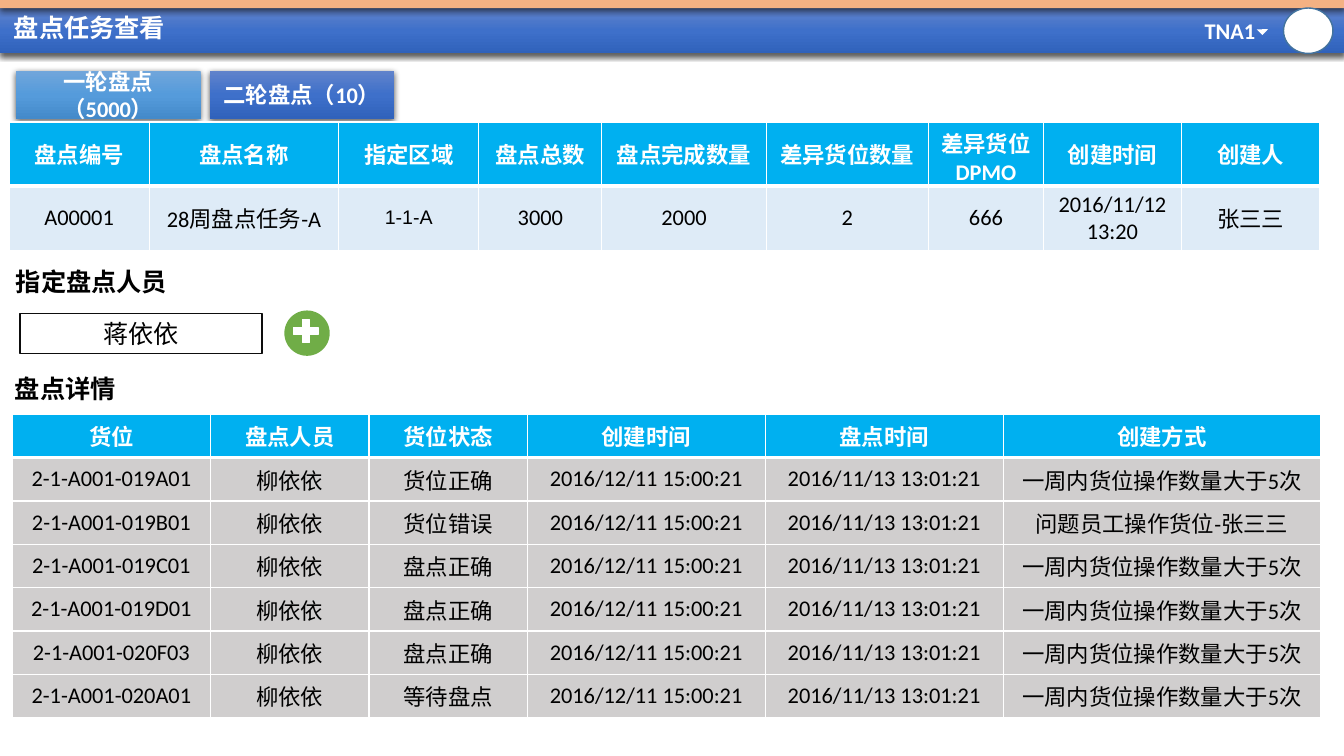
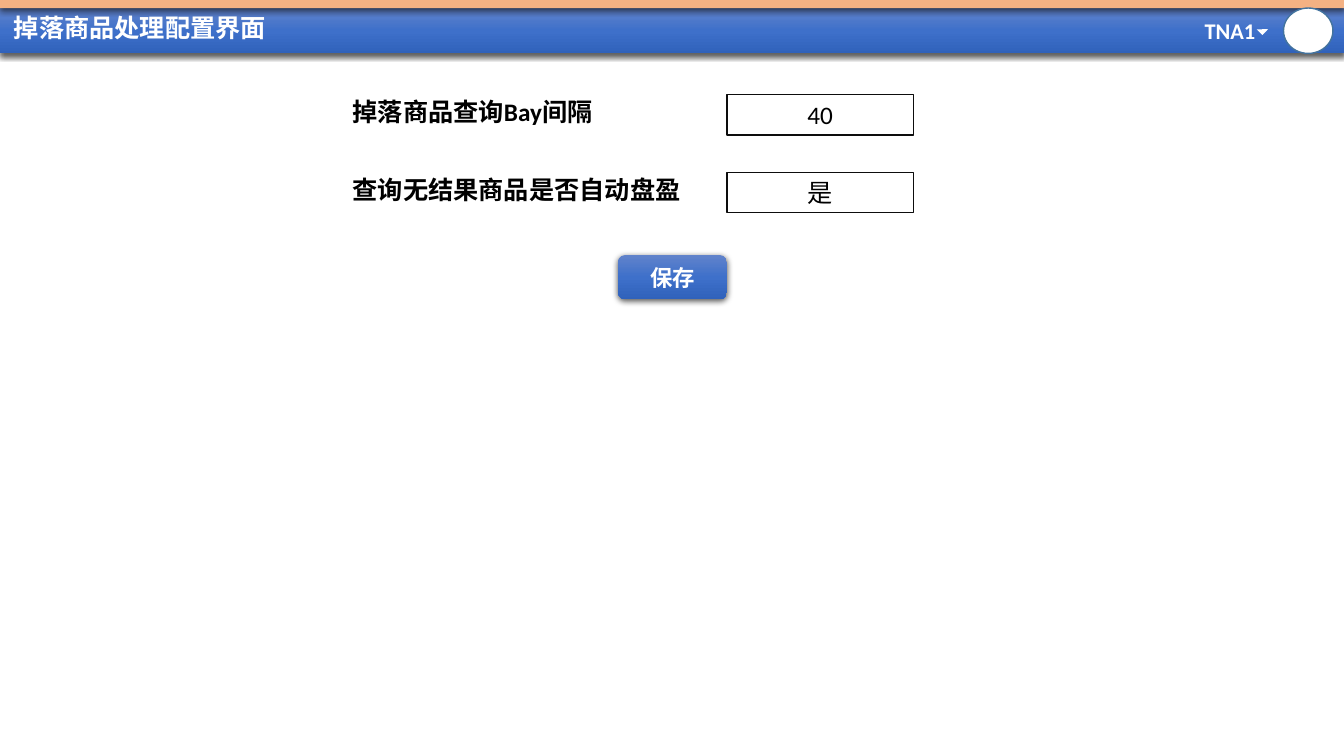
from lxml import etree
from pptx import Presentation
from pptx.dml.color import RGBColor
from pptx.enum.shapes import MSO_SHAPE as SHAPE
from pptx.enum.text import MSO_ANCHOR as ANCHOR, PP_ALIGN as ALIGN
from pptx.oxml import parse_xml
from pptx.oxml.ns import nsdecls, qn
from pptx.util import Inches, Pt

# Shared style
FONT = "Calibri"
WHITE, BLACK = "FFFFFF", "000000"
DARK_LINE, AVATAR_LINE = "0D0D0D", "43739E"
STRIP, GREEN = "F4B183", "70AD47"
HEAD_FILL, TASK_FILL, DETAIL_FILL = "00B0F0", "DEEBF7", "D0CECE"
BLUE_GRADIENT = ("6183CB", "3E70CA", "3062BB")
LIGHT_GRADIENT = ("71A6DB", "559BDB", "448ACA")


def rgb(value):
    return RGBColor.from_string(value)


def box(left, top, width, height):
    return [Inches(v) for v in (left, top, width, height)]


def style_text(tf, text, size, color, bold=False, align=ALIGN.LEFT, font=FONT):
    p = tf.paragraphs[0]
    p.text = text
    p.alignment = align
    p.font.name, p.font.size, p.font.bold = font, Pt(size), bold
    p.font.color.rgb = rgb(color)
    return p


def set_gradient(sp, colors):
    """Vertical gradient with evenly spaced stops."""
    step = 100000 // (len(colors) - 1)
    stops = "".join(
        f'<a:gs pos="{i * step}"><a:srgbClr val="{c}"/></a:gs>'
        for i, c in enumerate(colors))
    sp.fill.gradient()
    sp_pr = sp._element.spPr
    sp_pr.replace(sp_pr.find(qn("a:gradFill")), parse_xml(
        f'<a:gradFill {nsdecls("a")} rotWithShape="1"><a:gsLst>{stops}</a:gsLst>'
        '<a:lin ang="5400000" scaled="0"/></a:gradFill>'))


def add_shadow(sp):
    effects = sp._element.spPr.find(qn("a:effectLst"))
    effects.append(parse_xml(
        f'<a:outerShdw {nsdecls("a")} blurRad="57150" dist="19050" dir="5400000" '
        'algn="ctr" rotWithShape="0"><a:srgbClr val="000000">'
        '<a:alpha val="63000"/></a:srgbClr></a:outerShdw>'))


def add_shape(shapes, kind, at, fill, line=None, shadow=False):
    sp = shapes.add_shape(kind, *box(*at))
    sp.shadow.inherit = False
    if isinstance(fill, tuple):
        set_gradient(sp, fill)
    else:
        sp.fill.solid()
        sp.fill.fore_color.rgb = rgb(fill)
    if line:
        sp.line.color.rgb = rgb(line)
        sp.line.width = Pt(1)
    else:
        sp.line.fill.background()
    if shadow:
        add_shadow(sp)
    return sp


def add_label(slide, at, text, size=18, color=BLACK, wrap=True):
    tf = slide.shapes.add_textbox(*box(*at)).text_frame
    tf.word_wrap = wrap
    style_text(tf, text, size, color, bold=True)
    return tf


def add_button(slide, at, text, fill=BLUE_GRADIENT, kind=SHAPE.RECTANGLE):
    sp = add_shape(slide.shapes, kind, at, fill, shadow=True)
    style_text(sp.text_frame, text, 16, WHITE, True, ALIGN.CENTER)


def add_field(slide, at, text):
    sp = add_shape(slide.shapes, SHAPE.RECTANGLE, at, WHITE, DARK_LINE)
    style_text(sp.text_frame, text, 18, BLACK, align=ALIGN.CENTER)


def set_borders(cell, top, bottom):
    tc_pr = cell._tc.get_or_add_tcPr()
    for i, (side, width) in enumerate(
            (("L", 1), ("R", 1), ("T", top), ("B", bottom))):
        ln = etree.Element(qn(f"a:ln{side}"), w=str(Pt(width)))
        fill = etree.SubElement(ln, qn("a:solidFill"))
        etree.SubElement(fill, qn("a:srgbClr"), val=WHITE)
        tc_pr.insert(i, ln)


def add_table(slide, left, top, widths, heights, rows, body_fill):
    at = box(left, top, sum(widths), sum(heights))
    table = slide.shapes.add_table(len(rows), len(widths), *at).table
    for column, width in zip(table.columns, widths):
        column.width = Inches(width)
    for r, (row, height) in enumerate(zip(rows, heights)):
        table.rows[r].height = Inches(height)
        head = r == 0
        for c, text in enumerate(row):
            cell = table.cell(r, c)
            cell.vertical_anchor = ANCHOR.MIDDLE
            cell.fill.solid()
            cell.fill.fore_color.rgb = rgb(HEAD_FILL if head else body_fill)
            set_borders(cell, 3 if r == 1 else 1, 3 if head else 1)
            style_text(cell.text_frame, text, 16, WHITE if head else BLACK,
                       head, ALIGN.CENTER)
    return table


def add_page(prs, title):
    """New slide with the top bands, site menu, avatar and title."""
    slide = prs.slides.add_slide(prs.slide_layouts[6])
    shapes = slide.shapes
    add_shape(shapes, SHAPE.RECTANGLE, (0, 0.08, 13.33, 0.45), BLUE_GRADIENT, shadow=True)
    add_shape(shapes, SHAPE.RECTANGLE, (0, -0.03, 13.33, 0.11), STRIP, shadow=True)
    add_shape(shapes, SHAPE.OVAL, (12.73, 0.08, 0.49, 0.45), WHITE, AVATAR_LINE)
    add_label(slide, (11.85, 0.12, 0.71, 0.37), "TNA1", 16, WHITE, wrap=False)
    arrow = add_shape(shapes, SHAPE.RIGHT_TRIANGLE, (12.48, 0.25, 0.08, 0.08), WHITE)
    arrow.rotation = 314.5
    tf = add_label(slide, (0.04, 0.08, 11.5, 0.42), title, color=WHITE)
    tf.vertical_anchor = ANCHOR.MIDDLE
    tf.paragraphs[0].line_spacing = 0.9
    return slide


def build_task_page(prs):
    slide = add_page(prs, "盘点任务查看")

    # Assigned staff
    add_label(slide, (0.06, 2.59, 1.73, 0.4), "指定盘点人员")
    add_field(slide, (0.2, 3.11, 2.4, 0.4), "蒋依依")
    add_icon = slide.shapes.add_group_shape().shapes
    add_shape(add_icon, SHAPE.OVAL, (2.82, 3.08, 0.45, 0.45), GREEN)
    add_shape(add_icon, SHAPE.MATH_PLUS, (2.87, 3.13, 0.33, 0.31), WHITE, WHITE)

    # Count details
    add_label(slide, (0.05, 3.65, 1.22, 0.4), "盘点详情")
    frequent = "一周内货位操作数量大于5次"
    details = [
        ("019A01", "货位正确", frequent),
        ("019B01", "货位错误", "问题员工操作货位-张三三"),
        ("019C01", "盘点正确", frequent),
        ("019D01", "盘点正确", frequent),
        ("020F03", "盘点正确", frequent),
        ("020A01", "等待盘点", frequent),
    ]
    rows = [("货位", "盘点人员", "货位状态", "创建时间", "盘点时间", "创建方式")]
    rows += [(f"2-1-A001-{code}", "柳依依", status, "2016/12/11 15:00:21",
              "2016/11/13 13:01:21", reason) for code, status, reason in details]
    add_table(slide, 0.12, 4.11, (1.97, 1.57, 1.57, 2.36, 2.36, 3.15),
              [0.43] * len(rows), rows, DETAIL_FILL)

    # Round tabs
    add_button(slide, (0.16, 0.7, 1.83, 0.48), "一轮盘点（5000）", LIGHT_GRADIENT)
    add_button(slide, (2.08, 0.7, 1.83, 0.48), "二轮盘点（10）")

    # Task summary
    summary = [
        ("盘点编号", "盘点名称", "指定区域", "盘点总数", "盘点完成数量",
         "差异货位数量", "差异货位DPMO", "创建时间", "创建人"),
        ("A00001", "28周盘点任务-A", "1-1-A", "3000", "2000", "2", "666",
         "2016/11/12 13:20", "张三三"),
    ]
    table = add_table(slide, 0.09, 1.21,
                      (1.39, 1.88, 1.39, 1.22, 1.63, 1.61, 1.14, 1.37, 1.37),
                      (0.62, 0.64), summary, TASK_FILL)
    area = table.cell(1, 2)
    area.margin_left = area.margin_right = area.margin_top = area.margin_bottom = 0
    style_text(area.text_frame, "1-1-A", 14, BLACK, align=ALIGN.CENTER, font="Arial")


def build_settings_page(prs):
    slide = add_page(prs, "掉落商品处理配置界面")
    settings = [("掉落商品查询Bay间隔", 2.62, "40"),
                ("查询无结果商品是否自动盘盈", 3.51, "是")]
    for i, (name, width, value) in enumerate(settings):
        top = 0.91 + 0.77 * i
        add_label(slide, (3.4, top, width, 0.4), name)
        add_field(slide, (7.21, top + 0.03, 1.85, 0.4), value)
    add_button(slide, (6.13, 2.53, 1.08, 0.44), "保存", kind=SHAPE.ROUNDED_RECTANGLE)


def main():
    prs = Presentation()
    prs.slide_width, prs.slide_height = Inches(13.33), Inches(7.5)
    build_task_page(prs)
    build_settings_page(prs)
    prs.save("out.pptx")


main()
